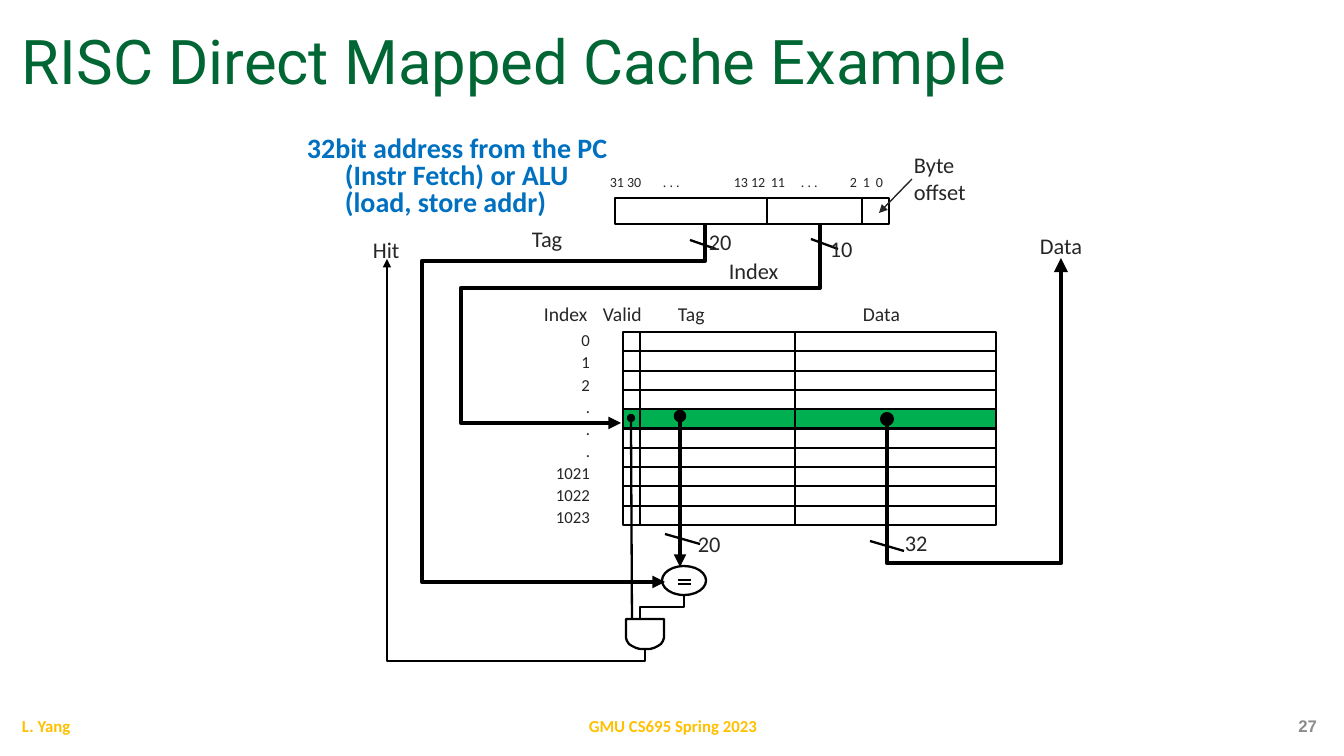
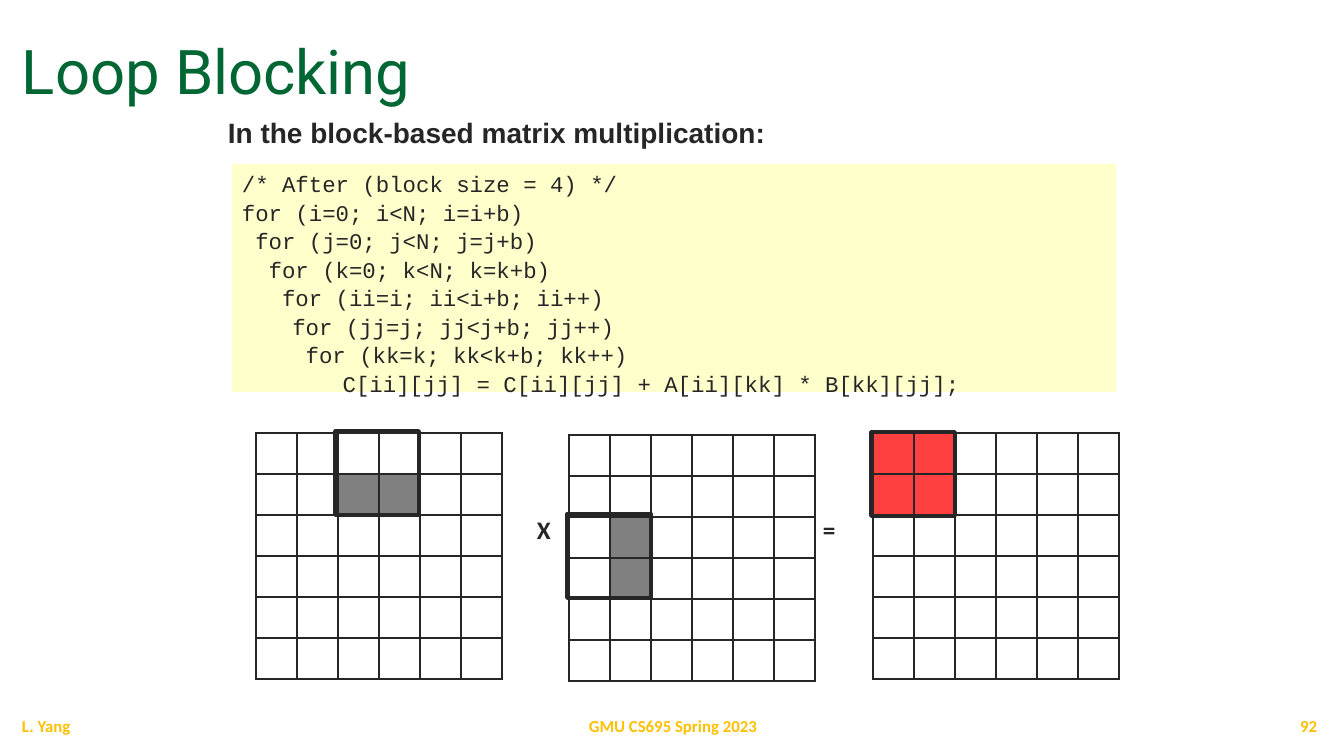
import math

from lxml import etree
from pptx import Presentation
from pptx.dml.color import RGBColor
from pptx.enum.shapes import MSO_CONNECTOR, MSO_SHAPE
from pptx.enum.text import MSO_ANCHOR, PP_ALIGN
from pptx.oxml.ns import qn
from pptx.util import Pt

PX = 9071  # EMU per px
STRAIGHT = MSO_CONNECTOR.STRAIGHT
RECT, OVAL = MSO_SHAPE.RECTANGLE, MSO_SHAPE.OVAL
LEFT, CENTER, RIGHT = PP_ALIGN.LEFT, PP_ALIGN.CENTER, PP_ALIGN.RIGHT
TOP, MIDDLE, BOTTOM = MSO_ANCHOR.TOP, MSO_ANCHOR.MIDDLE, MSO_ANCHOR.BOTTOM
COLORS = {
    "title": "006633", "footer": "FFC000", "number": "8C8C8C",
    "text": "262626", "line": "000000", "heading": "0070C0",
    "hit": "00B050", "code": "FFFFCC", "white": "FFFFFF",
    "operand": "808080", "result": "FF0000",
}
THIN, THICK = 1.63, 3


def write(page, frame, text, size, color="text", font="Calibri", bold=False,
          align=LEFT, anchor=TOP, wrap=False, spacing=None):
    """Add a text box with one paragraph for each line of text."""
    box = page.shapes.add_textbox(*(value * PX for value in frame))
    box.text_frame.word_wrap = wrap
    box.text_frame.vertical_anchor = anchor
    for index, line in enumerate(text.split("\n")):
        para = box.text_frame.add_paragraph() if index else box.text_frame.paragraphs[0]
        para.alignment = align
        para.line_spacing = spacing
        span = para.add_run()
        span.text = line
        span.font.name = font
        span.font.size = Pt(size)
        span.font.bold = bold
        span.font.color.rgb = RGBColor.from_string(COLORS[color])
    return box


def outline(shape, weight=THIN, color="line", head=None, tail=None):
    """Set line and arrowheads, and take the shadow away."""
    shape.line.color.rgb = RGBColor.from_string(COLORS[color])
    shape.line.width = Pt(weight)
    properties = shape.element.spPr
    line = properties.find(qn("a:ln"))
    for tag, kind in (("a:headEnd", head), ("a:tailEnd", tail)):
        if kind:
            etree.SubElement(line, qn(tag), type=kind)
    etree.SubElement(properties, qn("a:effectLst"))


deck = Presentation()
deck.slide_width, deck.slide_height = 1344 * PX, 756 * PX

# Titles and footers
pages = []
for title, anchor, number, number_font, number_color in (
    ("RISC Direct Mapped Cache Example", MIDDLE, "27", "Arial", "number"),
    ("Loop Blocking", BOTTOM, "92", "Calibri", "footer"),
):
    page = deck.slides.add_slide(deck.slide_layouts[6])
    pages.append(page)
    write(page, (12, 17, 1315, 96), title, 44, "title", "Roboto",
          anchor=anchor, wrap=True, spacing=0.9)
    for left, width, text, align, font, color in (
        (12, 302, "L. Yang", LEFT, "Calibri", "footer"),
        (446, 454, "GMU CS695 Spring 2023", CENTER, "Calibri", "footer"),
        (1025, 302, number, RIGHT, number_font, number_color),
    ):
        write(page, (left, 706, width, 40), text, 12, color, font, True,
              align, MIDDLE, True)
cache, blocking = pages

# Cache: address heading with a hanging indent
heading = write(cache, (247, 132, 386, 119),
                "32bit address from the PC (Instr Fetch) or ALU (load, store addr)",
                20, "heading", bold=True, wrap=True, spacing=0.8)
heading_format = heading.text_frame.paragraphs[0]._p.get_or_add_pPr()
heading_format.set("marL", str(88 * PX))
heading_format.set("indent", str(-38 * PX))

# Cache: bit numbers on tab stops
bits = write(cache, (600, 169, 312, 27),
             "31 30\t. . .\t13 12\t11\t. . .\t2\t1\t0", 10, wrap=True)
bits_format = bits.text_frame.paragraphs[0]._p.get_or_add_pPr()
stops = etree.SubElement(bits_format, qn("a:tabLst"))
for stop in (53, 124, 161, 191, 240, 253, 266):
    etree.SubElement(stops, qn("a:tab"), pos=str(stop * PX), algn="l")

# Cache: table frame, selected row, address word and comparator
row_tops = [332 + round(19.3 * row) for row in range(10)]
shapes = []
for kind, frame, fill in (
    (RECT, (623, 332, 373, 193), None),
    (RECT, (623, row_tops[4], 373, row_tops[5] - row_tops[4]), "hit"),
    (RECT, (615, 198, 274, 26), None),
    (OVAL, (662, 566, 44, 29), None),
):
    shape = cache.shapes.add_shape(kind, *(value * PX for value in frame))
    if fill:
        shape.fill.solid()
        shape.fill.fore_color.rgb = RGBColor.from_string(COLORS[fill])
    else:
        shape.fill.background()
    outline(shape)
    shapes.append(shape)
table_frame = shapes[0]

# Cache: row rules, the middle one joined to the frame
for row, top in enumerate(row_tops[1:], 1):
    rule = cache.shapes.add_connector(STRAIGHT, 623 * PX, top * PX, 996 * PX, top * PX)
    if row == 5:
        rule.begin_connect(table_frame, 1)
        rule.end_connect(table_frame, 3)
    outline(rule)

# Cache: other straight lines
for ends, weight, color, head, tail in (
    ((640, 332, 640, 525), THIN, "line", None, None),      # column rules
    ((795, 332, 795, 525), THIN, "line", None, None),
    ((767, 198, 767, 224), THIN, "line", None, None),      # address fields
    ((862, 198, 862, 224), THIN, "line", None, None),
    ((690, 240, 716, 249), THIN, "line", None, None),      # bus width ticks
    ((811, 239, 838, 249), THIN, "line", None, None),
    ((665, 534, 700, 544), THIN, "line", None, None),
    ((870, 541, 904, 551), THIN, "line", None, None),
    ((678, 580, 691, 580), 1, "line", None, None),         # equals sign
    ((678, 584, 691, 584), 1, "line", None, None),
    ((912, 179, 879, 213), 1, "text", None, "triangle"),   # byte offset
    ((680, 416, 680, 567), THICK, "line", "oval", "triangle"),
    ((631, 418, 632, 619), THIN, "line", "oval", None),
):
    link = cache.shapes.add_connector(STRAIGHT, *(value * PX for value in ends))
    outline(link, weight, color, head, tail)

# Cache: bent routes and the AND gate
gate = [(626, 619), (664, 619)] + [
    (round(645 + 19 * math.cos(step * math.pi / 12)),
     round(638 + 11 * math.sin(step * math.pi / 12))) for step in range(13)
] + [(626, 619)]
for points, weight, head, tail in (
    ([(705, 223), (705, 261), (422, 261), (422, 582), (665, 582)], THICK, None, "triangle"),
    ([(820, 224), (820, 288), (461, 288), (461, 423), (621, 423)], THICK, None, "triangle"),
    ([(887, 419), (887, 563), (1061, 563), (1061, 258)], 3.38, "oval", "triangle"),
    ([(684, 595), (684, 607), (640, 607), (640, 619)], THIN, None, None),
    ([(645, 649), (645, 661), (387, 661), (387, 259)], THIN, None, "triangle"),
    (gate, THIN, None, None),
):
    builder = cache.shapes.build_freeform(*points[0], scale=PX)
    builder.add_line_segments(points[1:], close=False)
    route = builder.convert_to_shape()
    route.fill.background()
    outline(route, weight, head=head, tail=tail)

# Cache: labels
for left, top, width, text, size in (
    (699, 223, 43, "20", 16), (522, 220, 51, "Tag", 16),
    (820, 230, 43, "10", 16), (719, 252, 70, "Index", 16),
    (688, 525, 43, "20", 16), (895, 524, 43, "32", 16),
    (1030, 227, 62, "Data", 16), (363, 231, 47, "Hit", 16),
    (534, 297, 64, "Index", 14), (593, 297, 59, "Valid", 14),
    (668, 297, 47, "Tag", 14), (853, 297, 57, "Data", 14),
):
    write(cache, (left, top, width, 37), text, size)
write(cache, (904, 146, 93, 65), "Byte offset", 16, wrap=True)
write(cache, (545, 323, 55, 211), "0\n1\n2\n.\n.\n.\n1021\n1022\n1023", 12,
      align=RIGHT, spacing=1.1)

# Blocking: heading and code
write(blocking, (218, 111, 561, 44), "In the block-based matrix multiplication:",
      20, font="Arial", bold=True)
CODE = """/* After (block size = 4) */
for (i=0; i<N; i=i+b)
 for (j=0; j<N; j=j+b)
  for (k=0; k<N; k=k+b)
   for (ii=i; ii<i+b; ii++)
\tfor (jj=j; jj<j+b; jj++)
\t for (kk=k; kk<k+b; kk++)
   \t\tC[ii][jj] = C[ii][jj] + A[ii][kk] * B[kk][jj];"""
code = write(blocking, (232, 164, 884, 228), CODE, 16, font="Courier New",
             wrap=True, spacing=1.06)
code.fill.solid()
code.fill.fore_color.rgb = RGBColor.from_string(COLORS["code"])

# Blocking: matrices, each with its current block framed
SIZE, CELL, BLOCK = 6, 41, 84
for left, top, color, filled, block in (
    (256, 433, "operand", {(1, 2), (1, 3)}, (335, 431)),
    (569, 435, "operand", {(2, 1), (3, 1)}, (567, 514)),
    (873, 433, "result", {(0, 0), (0, 1), (1, 0), (1, 1)}, (871, 432)),
):
    side = SIZE * CELL * PX
    matrix = blocking.shapes.add_table(SIZE, SIZE, left * PX, top * PX, side, side).table
    matrix.first_row = matrix.horz_banding = False
    for index in range(SIZE * SIZE):
        row, column = divmod(index, SIZE)
        cell = matrix.cell(row, column)
        cell.margin_top = cell.margin_bottom = 0
        cell_format = cell._tc.get_or_add_tcPr()
        for edge in ("a:lnL", "a:lnR", "a:lnT", "a:lnB"):
            border = etree.SubElement(cell_format, qn(edge), w=str(Pt(1)))
            paint = etree.SubElement(border, qn("a:solidFill"))
            etree.SubElement(paint, qn("a:srgbClr"), val=COLORS["text"])
        fill = color if (row, column) in filled else "white"
        cell.fill.solid()
        cell.fill.fore_color.rgb = RGBColor.from_string(COLORS[fill])
        if fill == "result":
            tint = cell_format.find(qn("a:solidFill")).find(qn("a:srgbClr"))
            etree.SubElement(tint, qn("a:alpha"), val="75000")
    frame = blocking.shapes.add_shape(
        RECT, block[0] * PX, block[1] * PX, BLOCK * PX, BLOCK * PX)
    frame.fill.background()
    outline(frame, 2.75, "text")

# Blocking: operators
for left, sign in ((527, "X"), (813, "=")):
    write(blocking, (left, 509, 34, 40), sign, 18, bold=True)

deck.save("out.pptx")
